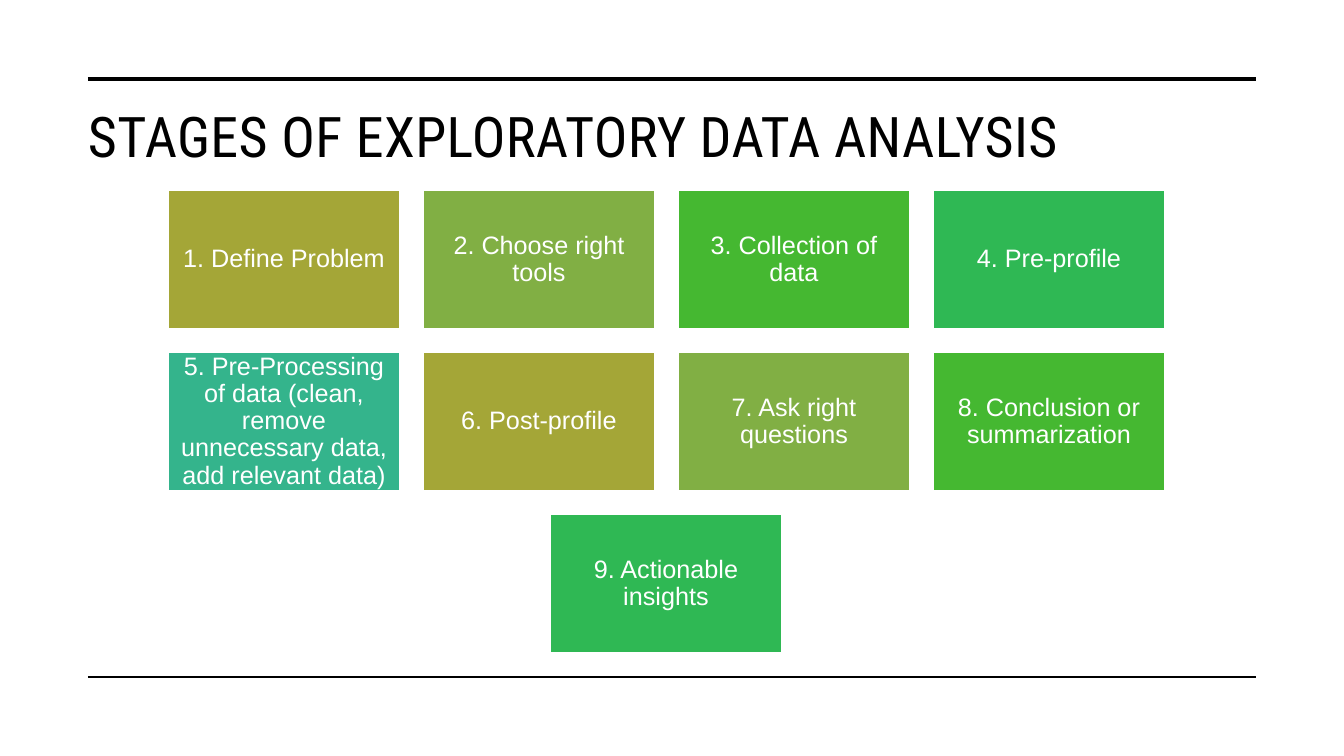
import pptx
import pptx.dml.color
import pptx.enum.shapes
import pptx.enum.text
import pptx.oxml
import pptx.util

SCALE = 914400 / 100.8
MIDDLE = pptx.enum.text.MSO_ANCHOR.MIDDLE
ALIGN = pptx.enum.text.PP_ALIGN


def px(length):
    return pptx.util.Emu(round(length * SCALE))


def color(value):
    return pptx.dml.color.RGBColor.from_string(value)


def apply(target, values):
    for name, value in values.items():
        setattr(target, name, value)


class SlideBuilder:
    ink, paper = "000000", "FFFFFF"
    title_font, body_font = "Roboto Condensed", "Arial"

    def __init__(self, slide):
        self.slide = slide

    def set_text(self, shape, text, size, font, ink, align, inset):
        frame = shape.text_frame
        apply(frame, {"word_wrap": True, "vertical_anchor": MIDDLE,
                      "auto_size": pptx.enum.text.MSO_AUTO_SIZE.NONE})
        apply(frame, {f"margin_{side}": px(inset)
                      for side in ("left", "top", "right", "bottom")})
        para = frame.paragraphs[0]
        apply(para, {"alignment": align, "line_spacing": 0.9})
        span = para.add_run()
        span.text = text
        apply(span.font, {"name": font, "size": pptx.util.Pt(size), "bold": False})
        span.font.color.rgb = color(ink)
        return span

    def title(self, text, left, top, width, height):
        box = self.slide.shapes.title
        apply(box, {"left": px(left), "top": px(top),
                    "width": px(width), "height": px(height)})
        span = self.set_text(box, text, 40, self.title_font, self.ink, ALIGN.LEFT, 10)
        span.font._element.set("spc", "30")

    def rule(self, left, right, y, weight):
        line = self.slide.shapes.add_connector(
            pptx.enum.shapes.MSO_CONNECTOR.STRAIGHT, px(left), px(y), px(right), px(y))
        line.line.color.rgb = color(self.ink)
        line.line.width = pptx.util.Pt(weight)
        properties = line._element.spPr
        properties.append(pptx.oxml.parse_xml(
            '<a:effectLst xmlns:a="http://schemas.openxmlformats.org/drawingml/2006/main"/>'))

    def card(self, text, left, top, width, height, fill):
        box = self.slide.shapes.add_shape(
            pptx.enum.shapes.MSO_SHAPE.RECTANGLE,
            px(left), px(top), px(width), px(height))
        box.shadow.inherit = False
        box.fill.solid()
        box.fill.fore_color.rgb = color(fill)
        box.line.color.rgb = color(self.paper)
        box.line.width = pptx.util.Pt(1)
        self.set_text(box, text, 18, self.body_font, self.paper, ALIGN.CENTER, 7)


deck = pptx.Presentation()
apply(deck, {"slide_width": px(1344), "slide_height": px(756)})
page = SlideBuilder(deck.slides.add_slide(deck.slide_layouts[5]))

# Title between the frame rules
page.title("STAGES OF EXPLORATORY DATA ANALYSIS", 78, 100, 1178, 78)
page.rule(88, 1256, 79, 3.5)
page.rule(88, 1256, 677, 1)

# Stage cards: rows of four, the last row centred, five colours in turn
STAGES = [
    "Define Problem", "Choose right tools", "Collection of data", "Pre-profile",
    "Pre-Processing of data (clean, remove unnecessary data, add relevant data)",
    "Post-profile", "Ask right questions", "Conclusion or summarization",
    "Actionable insights",
]
FILLS = ["A4A637", "81AF44", "45B831", "2FB854", "34B48C"]
COLUMNS, LEFT, TOP = 4, 168, 190
WIDTH, HEIGHT, GAP = 232, 139, 23
STEP_X, STEP_Y = WIDTH + GAP, HEIGHT + GAP

for index, stage in enumerate(STAGES):
    row, column = divmod(index, COLUMNS)
    in_row = min(COLUMNS, len(STAGES) - row * COLUMNS)
    indent = (COLUMNS - in_row) * STEP_X // 2
    page.card(f"{index + 1}. {stage}", LEFT + indent + column * STEP_X,
              TOP + row * STEP_Y, WIDTH, HEIGHT, FILLS[index % len(FILLS)])

deck.save("out.pptx")
